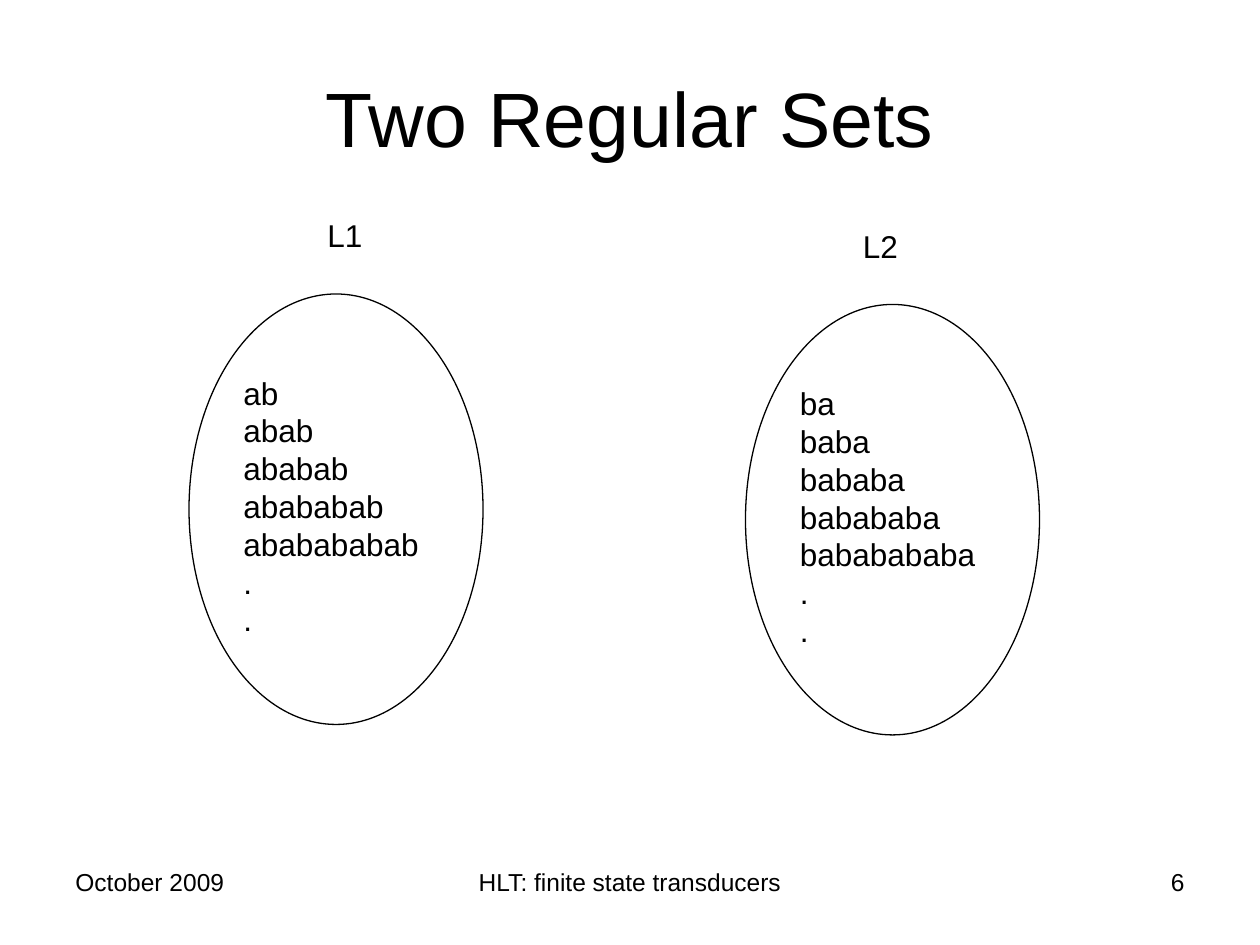
import pptx
import pptx.util
from pptx.dml.color import RGBColor
from pptx.enum.shapes import MSO_SHAPE
from pptx.enum.text import MSO_ANCHOR, MSO_AUTO_SIZE, PP_ALIGN

COLORS = {"ink": "000000", "paper": "FFFFFF"}
INK = RGBColor.from_string(COLORS["ink"])
SLIDE_WIDTH, SLIDE_HEIGHT = pptx.util.Inches(10), pptx.util.Inches(7.5)
COLUMNS, ROWS = 120, 90


def place(left, top, width, height):
    """Turn grid columns and rows into slide lengths."""
    return (round(left * SLIDE_WIDTH / COLUMNS), round(top * SLIDE_HEIGHT / ROWS),
            round(width * SLIDE_WIDTH / COLUMNS), round(height * SLIDE_HEIGHT / ROWS))


def write_lines(frame, lines, size, align=PP_ALIGN.LEFT):
    font_format = {"name": "Arial", "size": pptx.util.Pt(size)}
    for index, line in enumerate(lines):
        paragraph = frame.add_paragraph() if index else frame.paragraphs[0]
        paragraph.alignment = align
        run = paragraph.add_run()
        run.text = line
        for attribute, value in font_format.items():
            setattr(run.font, attribute, value)
        run.font.color.rgb = INK


def add_text(slide, box, lines, size, align=PP_ALIGN.LEFT, wrap=False):
    frame = slide.shapes.add_textbox(*place(*box)).text_frame
    frame.word_wrap = wrap
    frame.auto_size = MSO_AUTO_SIZE.NONE if wrap else MSO_AUTO_SIZE.SHAPE_TO_FIT_TEXT
    write_lines(frame, lines, size, align)


def add_title(slide, box, text):
    title = slide.shapes.title
    for side, length in zip(("left", "top", "width", "height"), place(*box)):
        setattr(title, side, length)
    title.text_frame.vertical_anchor = MSO_ANCHOR.MIDDLE
    write_lines(title.text_frame, [text], 44, PP_ALIGN.CENTER)


def add_regular_set(slide, box, label, label_indent, unit):
    """Draw an oval listing the repetitions of unit, with its label above."""
    left, top, _, _ = box
    oval = slide.shapes.add_shape(MSO_SHAPE.OVAL, *place(*box))
    oval.shadow.inherit = False
    oval.fill.background()
    oval.line.color.rgb = INK
    oval.line.width = pptx.util.Pt(0.75)
    words = [unit * count for count in range(1, 6)]
    add_text(slide, (left + 4, top + 7, 19.25, 26.4), words + [".", "."], 18)
    add_text(slide, (left + label_indent, top - 8, 5.8, 4.8), [label], 18)


def add_footer(slide, top, height):
    for left, width, text, align in (
        (6, 28, "October 2009", PP_ALIGN.LEFT),
        (41, 38, "HLT: finite state transducers", PP_ALIGN.CENTER),
        (86, 28, "6", PP_ALIGN.RIGHT),
    ):
        add_text(slide, (left, top, width, height), [text], 14, align, wrap=True)


def main():
    deck = pptx.Presentation()
    deck.slide_width, deck.slide_height = SLIDE_WIDTH, SLIDE_HEIGHT
    slide = deck.slides.add_slide(deck.slide_layouts[5])
    slide.background.fill.solid()
    slide.background.fill.fore_color.rgb = RGBColor.from_string(COLORS["paper"])
    add_footer(slide, 82, 6.25)
    add_title(slide, (6, 3.6, 108, 15), "Two Regular Sets")
    add_regular_set(slide, (18, 28, 28, 41), "L1", 12, "ab")
    add_regular_set(slide, (71, 29, 28, 41), "L2", 10, "ba")
    deck.save("out.pptx")


if __name__ == "__main__":
    main()
